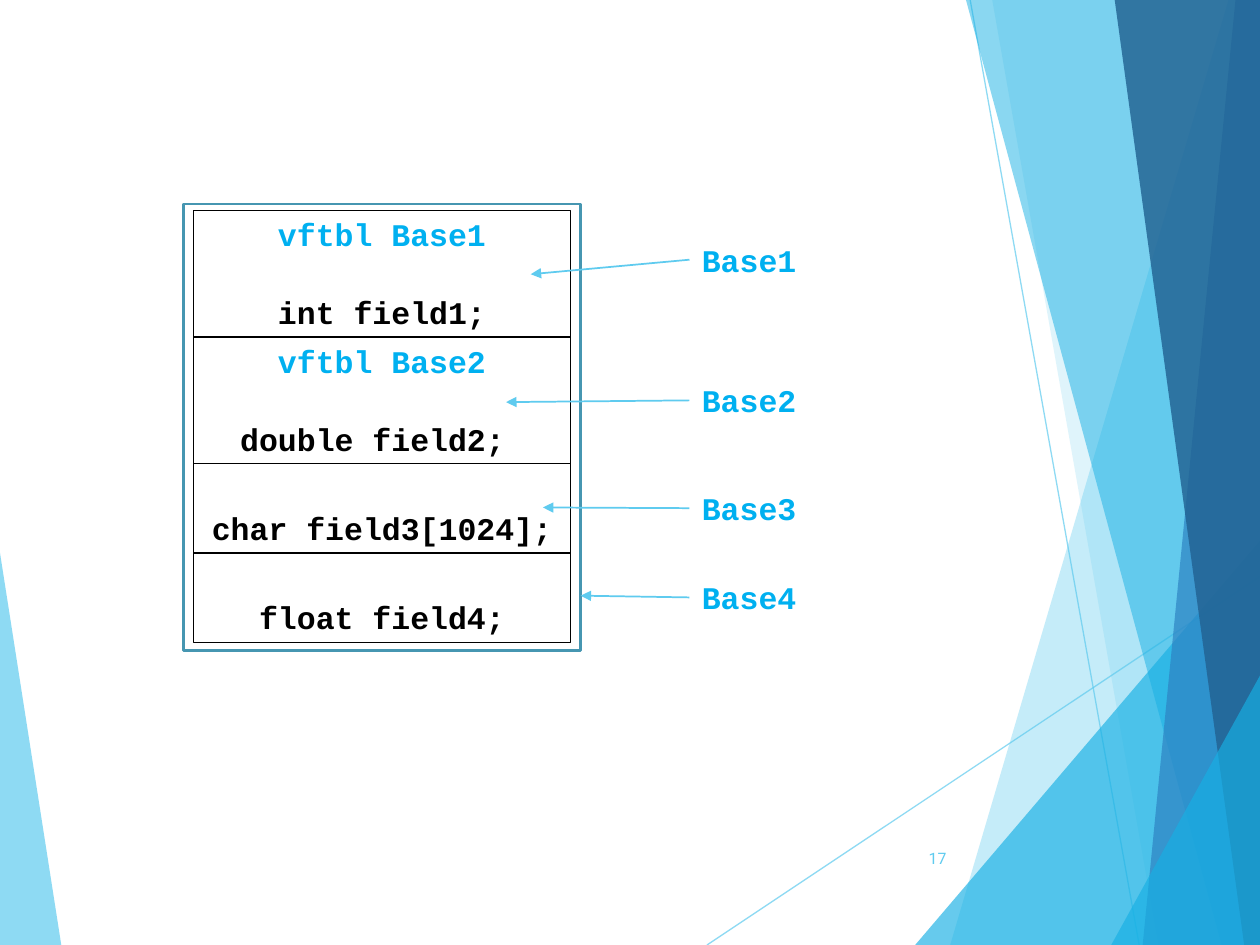
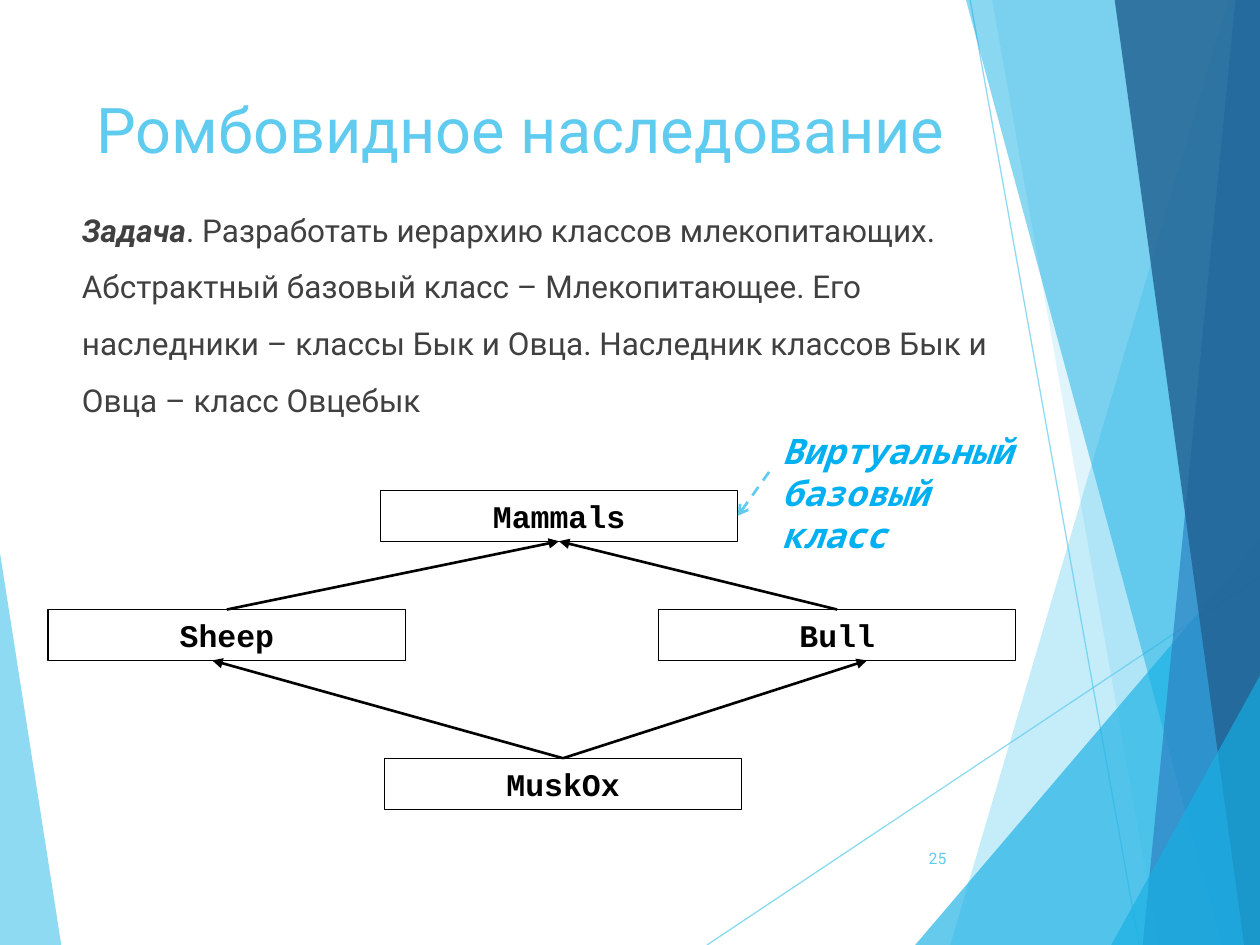
from lxml import etree
from pptx import Presentation
from pptx.dml.color import RGBColor
from pptx.enum import dml, shapes, text
from pptx.oxml import ns
from pptx.util import Pt

COLORS = {"sky": "5FCBEF", "azure": "17B0E4", "blue": "2E83C3", "navy": "226292",
          "accent": "00B0F0", "frame": "4696B1", "black": "000000", "body": "404040"}
SANS, CODE, MONO = "Roboto", "Courier New", "Noto Sans Mono"
WIDTH, HEIGHT = 720, 540
TOP, LEFT, BOTTOM, RIGHT = range(4)  # connection sites of a rectangle

# Decoration: outline, colour, opacity in percent
FACETS = [
    ([(0, 316), (35.3, HEIGHT), (0, HEIGHT)], "sky", 70),
    ([(702, 0), (543, HEIGHT), (WIDTH, HEIGHT), (WIDTH, 0)], "sky", 36),
    ([(567.4, 0), (661.7, HEIGHT), (WIDTH, HEIGHT), (WIDTH, 0)], "sky", 20),
    ([(522.7, HEIGHT), (WIDTH, 309), (WIDTH, HEIGHT)], "azure", 66),
    ([(552.2, 0), (698.4, HEIGHT), (WIDTH, HEIGHT), (WIDTH, 0)], "azure", 50),
    ([(706.3, 0), (653, HEIGHT), (WIDTH, HEIGHT), (WIDTH, 0)], "blue", 70),
    ([(637.2, 0), (711.4, HEIGHT), (WIDTH, HEIGHT), (WIDTH, 0)], "navy", 82),
    ([(635, HEIGHT), (WIDTH, 386), (WIDTH, HEIGHT)], "azure", 66),
]
RAYS = [((404, HEIGHT), (WIDTH, 329.4)), ((554.4, 0), (651, HEIGHT))]


def rgb(name):
    return RGBColor.from_string(COLORS[name])


def set_opacity(shape, percent):
    for color in shape.element.iter(ns.qn("a:srgbClr")):
        etree.SubElement(color, ns.qn("a:alpha")).set("val", str(percent * 1000))


def style(para, size, color, font, bold=None, italic=None, align=text.PP_ALIGN.LEFT):
    para.alignment = align
    para.font.size, para.font.name = Pt(size), font
    para.font.bold, para.font.italic = bold, italic
    para.font.color.rgb = rgb(color)


def place(box, left, top, width, height):
    box.left, box.top, box.width, box.height = map(Pt, (left, top, width, height))


def add_line(page, start, end, color, width, head=None, dash=None):
    """Each end is a point (x, y) or a pair (box, connection site)."""
    points = [(0, 0) if hasattr(first, "left") else (first, second)
              for first, second in (start, end)]
    line = page.shapes.add_connector(
        shapes.MSO_CONNECTOR.STRAIGHT, *[Pt(value) for point in points for value in point])
    for (first, site), connect in ((start, line.begin_connect), (end, line.end_connect)):
        if hasattr(first, "left"):
            connect(first, site)
    line.line.color.rgb = rgb(color)
    line.line.width = Pt(width)
    if dash:
        line.line.dash_style = dash
    properties = line.element.spPr
    if head:
        outline = properties.find(ns.qn("a:ln"))
        etree.SubElement(outline, ns.qn("a:tailEnd")).set("type", head)
    etree.SubElement(properties, ns.qn("a:effectLst"))
    return line


def add_facet(page, points, color, opacity):
    builder = page.shapes.build_freeform(*points[0], scale=Pt(1))
    builder.add_line_segments(points[1:], close=True)
    facet = builder.convert_to_shape()
    facet.shadow.inherit = False
    facet.fill.solid()
    facet.fill.fore_color.rgb = rgb(color)
    facet.line.fill.background()
    set_opacity(facet, opacity)
    return facet


def decorate_master(deck, page):
    """Draw the facets on a page, then move them to the master."""
    parts = [add_facet(page, *FACETS[0])]
    for start, end in RAYS:
        ray = add_line(page, start, end, "sky", 0.75)
        set_opacity(ray, 70)
        parts.append(ray)
    parts += [add_facet(page, *facet) for facet in FACETS[1:]]
    for number, part in enumerate(parts, start=101):
        next(part.element.iter(ns.qn("p:cNvPr"))).set("id", str(number))
        deck.slide_master.shapes.element.append(part.element)


def add_rect(page, left, top, width, height, color="black", line_width=0.75):
    box = page.shapes.add_shape(
        shapes.MSO_SHAPE.RECTANGLE, *map(Pt, (left, top, width, height)))
    box.shadow.inherit = False
    box.fill.background()
    box.line.color.rgb = rgb(color)
    box.line.width = Pt(line_width)
    return box


def add_code_box(page, lines, left, top, width, height, anchor):
    """Lines are (wording, colour) pairs, set one blank line apart."""
    box = add_rect(page, left, top, width, height)
    frame = box.text_frame
    frame.word_wrap = True
    frame.vertical_anchor = anchor
    for index, (wording, color) in enumerate(lines):
        para = frame.add_paragraph() if index else frame.paragraphs[0]
        para.text = wording
        para.space_before = Pt(23 if index else 0)
        style(para, 18, color, CODE, bold=True, align=text.PP_ALIGN.CENTER)
    return box


def add_label(page, wording, left, top, width, height, anchor=text.MSO_ANCHOR.TOP, **look):
    box = page.shapes.add_textbox(*map(Pt, (left, top, width, height)))
    frame = box.text_frame
    frame.word_wrap = True
    frame.vertical_anchor = anchor
    frame.paragraphs[0].text = wording
    style(frame.paragraphs[0], **look)
    return box


def add_page_number(page, number):
    add_label(page, str(number), 507.6, 476, 40.3, 28.8, text.MSO_ANCHOR.MIDDLE,
              size=9, color="sky", font=SANS, align=text.PP_ALIGN.RIGHT)


def set_title(page, wording):
    title = page.shapes.title
    place(title, 48, 48, 500, 104)
    frame = title.text_frame
    frame.text = wording
    frame.auto_size = text.MSO_AUTO_SIZE.NONE
    frame.vertical_anchor = text.MSO_ANCHOR.TOP
    style(frame.paragraphs[0], 36, "sky", SANS)


def set_task(page, lead, wording):
    body = page.placeholders[1]
    place(body, 31, 106, 556, 123)
    frame = body.text_frame
    frame.auto_size = text.MSO_AUTO_SIZE.NONE
    para = frame.paragraphs[0]
    style(para, 18, "body", SANS)
    para.line_spacing, para.space_before = 1.5, Pt(10)
    span = para.add_run()
    span.text = lead
    span.font.bold = span.font.italic = True
    para.add_run().text = wording
    # No bullet, small left indent
    properties = para._p.get_or_add_pPr()
    properties.set("marL", str(Pt(8.6)))
    properties.set("indent", "0")
    properties.insert_element_before(
        etree.SubElement(properties, ns.qn("a:buNone")), "a:tabLst", "a:defRPr", "a:extLst")


def build_memory_layout(page):
    add_page_number(page, 17)

    # Object fields, stacked
    cells = [
        ([("vftbl Base1", "accent"), ("int field1;", "black")], 72.4),
        ([("vftbl Base2", "accent"), ("double field2; ", "black")], 72.4),
        ([("char field3[1024]; ", "black")], 51),
        ([("float field4;", "black")], 51),
    ]
    top = 120.2
    for lines, height in cells:
        add_code_box(page, lines, 110.6, top, 215.3, height, text.MSO_ANCHOR.BOTTOM)
        top += height
    add_rect(page, 105, 116.6, 226.8, 255, "frame", 1.5)

    # Base class labels and their arrows
    bases = [(134, (303.3, 156.7)), (214.4, (289.2, 229.8)),
             (276, (310.3, 290)), (327, (331.8, 340.4))]
    for number, (label_top, target) in enumerate(bases, start=1):
        label = add_label(page, f"Base{number}", 394, label_top, 102, 28.8,
                          size=18, color="accent", font=CODE, bold=True)
        add_line(page, (label, LEFT), target, "sky", 1, "triangle")


def build_diamond(page):
    set_title(page, "Ромбовидное наследование")
    set_task(page, "Задача", ". Разработать иерархию классов млекопитающих. "
             "Абстрактный базовый класс – Млекопитающее. Его наследники – классы Бык и Овца. "
             "Наследник классов Бык и Овца – класс Овцебык")
    add_page_number(page, 25)

    # Class boxes
    places = {"Mammals": (217.3, 280.2), "Bull": (376.2, 348.3),
              "Sheep": (27.5, 348.3), "MuskOx": (219.6, 433.3)}
    classes = {name: add_code_box(page, [(name, "black")], left, top, 204.3, 29.1,
                                  text.MSO_ANCHOR.MIDDLE)
               for name, (left, top) in places.items()}

    # Inheritance arrows
    mammals, muskox = classes["Mammals"], classes["MuskOx"]
    for start, end in [((classes["Sheep"], TOP), (mammals, BOTTOM)),
                       ((classes["Bull"], TOP), (mammals, BOTTOM)),
                       ((muskox, TOP), (121.3, 377.4)),
                       ((muskox, TOP), (495.4, 377.4))]:
        add_line(page, start, end, "black", 1.5, "triangle")

    # Remark on the base class
    remark = add_label(page, "Виртуальный базовый класс", 439.5, 242, 148, 55.4,
                       size=20, color="accent", font=MONO, bold=True, italic=True)
    add_line(page, (remark, LEFT), (mammals, RIGHT), "sky", 1.5, "arrow",
             dml.MSO_LINE.DASH)


def main():
    deck = Presentation()
    deck.slide_width, deck.slide_height = Pt(WIDTH), Pt(HEIGHT)
    layout_page = deck.slides.add_slide(deck.slide_layouts[6])
    decorate_master(deck, layout_page)
    build_memory_layout(layout_page)
    build_diamond(deck.slides.add_slide(deck.slide_layouts[1]))
    deck.save("out.pptx")


if __name__ == "__main__":
    main()
